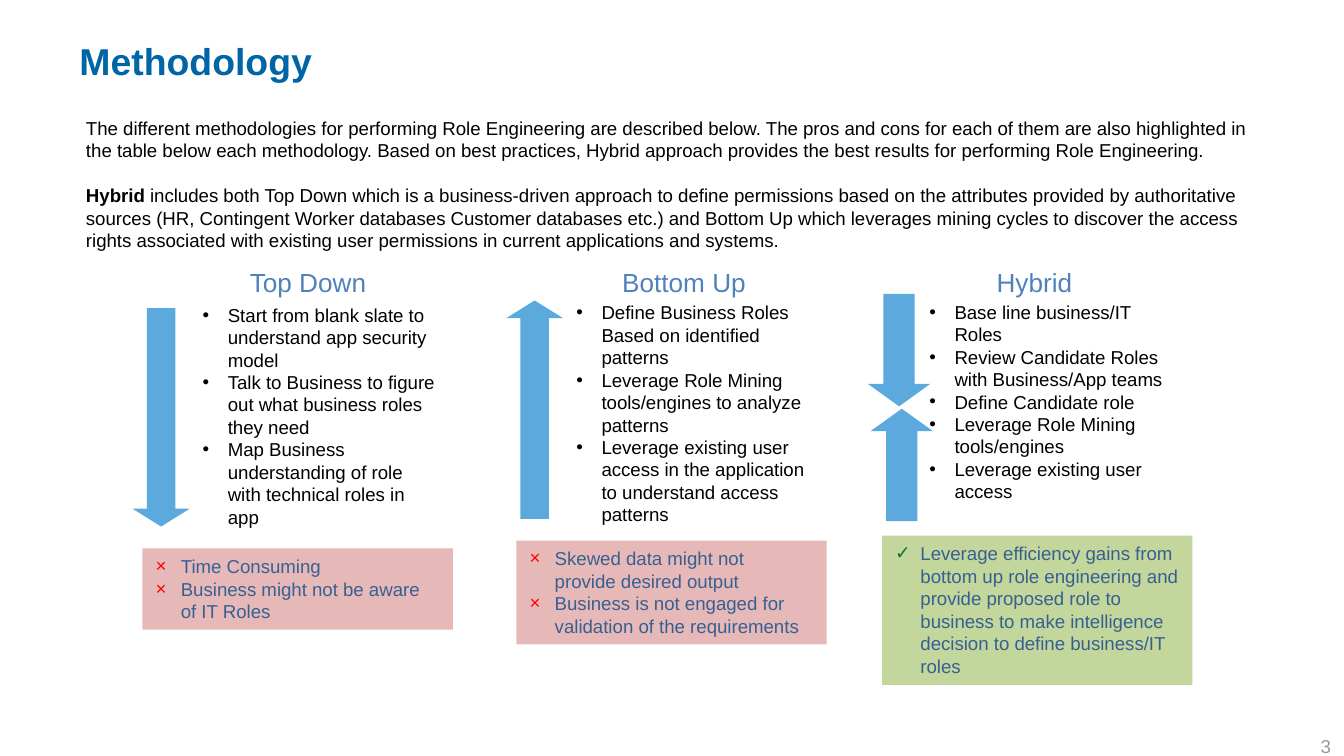
from dataclasses import dataclass

from lxml.etree import SubElement
from pptx import Presentation
from pptx.dml.color import RGBColor
from pptx.enum.shapes import MSO_SHAPE as Preset
from pptx.enum.text import MSO_ANCHOR as Anchor, PP_ALIGN as Align
from pptx.oxml.ns import qn
from pptx.util import Pt

TITLE_BLUE = RGBColor(0x00, 0x65, 0xA6)
HEADING_BLUE = RGBColor(0x4F, 0x81, 0xBD)
VERDICT_BLUE = RGBColor(0x37, 0x60, 0x92)
ARROW_BLUE = RGBColor(0x5C, 0xA9, 0xDD)
PINK = RGBColor(0xE6, 0xB9, 0xB8)
GREEN = RGBColor(0xC3, 0xD6, 0x9B)
RED_MARK = RGBColor(0xFF, 0x00, 0x00)
GREEN_MARK = RGBColor(0x00, 0x7A, 0x3E)
GRAY = RGBColor(0x99, 0x99, 0x99)
BLACK = RGBColor(0x00, 0x00, 0x00)
FONT = "Arial"
HANGING = Pt(13.5)


@dataclass
class Area:
    left: float
    top: float
    width: float
    height: float

    def lengths(self) -> list[int]:
        return [Pt(value) for value in (self.left, self.top, self.width, self.height)]


@dataclass
class Arrow:
    area: Area
    head: float
    up: bool


@dataclass
class Verdict:
    area: Area
    fill: RGBColor
    mark: str
    mark_color: RGBColor
    points: list[str]


@dataclass
class Method:
    name: str
    heading: Area
    steps_area: Area
    steps: list[str]
    arrows: list[Arrow]
    verdict: Verdict


METHODS = [
    Method(
        "Top Down", Area(126.7, 139, 87, 24.2), Area(101.5, 159.1, 141.4, 128),
        ["Start from blank slate to understand app security model",
         "Talk to Business to figure out what business roles they need",
         "Map Business understanding of role with technical roles in app"],
        [Arrow(Area(71.1, 165.1, 30.5, 117), 9.5, False)],
        Verdict(Area(76.3, 293.8, 166.3, 43.6), PINK, "×", RED_MARK,
                ["Time Consuming", "Business might not be aware of IT Roles"]),
    ),
    Method(
        "Bottom Up", Area(326.2, 139, 98, 24.2), Area(301.7, 157.9, 141.4, 128),
        ["Define Business Roles Based on identified patterns",
         "Leverage Role Mining tools/engines to analyze patterns",
         "Leverage existing user access in the application to understand access patterns"],
        [Arrow(Area(271.2, 161, 30.5, 117), 9.5, True)],
        Verdict(Area(276.6, 289.6, 166.3, 55.6), PINK, "×", RED_MARK,
                ["Skewed data might not\vprovide desired output",
                 "Business is not engaged for validation of the requirements"]),
    ),
    Method(
        "Hybrid", Area(526.8, 139, 73, 24.2), Area(490.8, 157.5, 141.4, 116.6),
        ["Base line business/IT Roles",
         "Review Candidate Roles with Business/App teams",
         "Define Candidate role",
         "Leverage Role Mining tools/engines",
         "Leverage existing user access"],
        [Arrow(Area(465, 157.5, 33.4, 60.2), 12, False),
         Arrow(Area(466.4, 219, 33.4, 60.2), 12, True)],
        Verdict(Area(472.5, 287, 166.3, 80), GREEN, "✓", GREEN_MARK,
                ["Leverage efficiency gains from bottom up role engineering and provide "
                 "proposed role to business to make intelligence decision to define "
                 "business/IT roles"]),
    ),
]

INTRO = [
    "The different methodologies for performing Role Engineering are described below. "
    "The pros and cons for each of them are also highlighted in the table below each "
    "methodology. Based on best practices, Hybrid approach provides the best results "
    "for performing Role Engineering.",
    "Hybrid includes both Top Down which is a business-driven approach to define "
    "permissions based on the attributes provided by authoritative sources (HR, "
    "Contingent Worker databases Customer databases etc.) and Bottom Up which leverages "
    "mining cycles to discover the access rights associated with existing user "
    "permissions in current applications and systems.",
]


def add_bullet(para, mark: str, color: RGBColor) -> None:
    properties = para._p.get_or_add_pPr()
    properties.set("marL", str(HANGING))
    properties.set("indent", str(-HANGING))
    bullet_color = SubElement(properties, qn("a:buClr"))
    SubElement(bullet_color, qn("a:srgbClr"), val=str(color))
    SubElement(properties, qn("a:buFont"), typeface=FONT)
    SubElement(properties, qn("a:buChar"), char=mark)


def write(box, paragraphs: list[str], *, size: float = 10, color: RGBColor = BLACK,
          bold: bool = False, bold_lead: str = "", align: Align = Align.LEFT,
          gap: float = 0, mark: str = "", mark_color: RGBColor = BLACK) -> None:
    frame = box.text_frame
    frame.word_wrap = True
    frame.vertical_anchor = Anchor.TOP
    for index, text in enumerate(paragraphs):
        para = frame.add_paragraph() if index else frame.paragraphs[0]
        para.alignment = align
        if index and gap:
            para.space_before = Pt(gap)
        if bold_lead and text.startswith(bold_lead):
            para.add_run().text = bold_lead
            para.add_run().text = text.removeprefix(bold_lead)
        else:
            para.text = text
        for span in para.runs:
            font = span.font
            font.name, font.size = FONT, Pt(size)
            font.bold = bold or span.text == bold_lead
            font.color.rgb = color
        if mark:
            add_bullet(para, mark, mark_color)


def paint(shape, color: RGBColor) -> None:
    shape.shadow.inherit = False
    shape.fill.solid()
    shape.fill.fore_color.rgb = color
    shape.line.fill.background()


def add_text(page, area: Area, paragraphs: list[str], **style) -> None:
    write(page.shapes.add_textbox(*area.lengths()), paragraphs, **style)


def draw_arrow(page, arrow: Arrow) -> None:
    left, top, width, height = arrow.area.lengths()
    tip, tail = (top, top + height) if arrow.up else (top + height, top)
    neck = tip + Pt(arrow.head) * (1 if arrow.up else -1)
    shaft_left, shaft_right = left + width // 4, left + width * 3 // 4
    outline = page.shapes.build_freeform(left, neck)
    outline.add_line_segments([(left + width // 2, tip), (left + width, neck)])
    outline.move_to(shaft_left, tail)
    outline.add_line_segments(
        [(shaft_left, neck), (shaft_right, neck), (shaft_right, tail)])
    paint(outline.convert_to_shape(), ARROW_BLUE)


def draw_verdict(page, verdict: Verdict) -> None:
    box = page.shapes.add_shape(Preset.RECTANGLE, *verdict.area.lengths())
    paint(box, verdict.fill)
    write(box, verdict.points, color=VERDICT_BLUE,
          mark=verdict.mark, mark_color=verdict.mark_color)


def draw_method(page, method: Method) -> None:
    for arrow in method.arrows:
        draw_arrow(page, arrow)
    add_text(page, method.heading, [method.name], size=14, color=HEADING_BLUE)
    add_text(page, method.steps_area, method.steps, mark="•")
    draw_verdict(page, method.verdict)


deck = Presentation()
deck.slide_width, deck.slide_height = Pt(720), Pt(405)
page = deck.slides.add_slide(deck.slide_layouts[6])
add_text(page, Area(35.5, 16.8, 648, 38), ["Methodology"],
         size=20, color=TITLE_BLUE, bold=True)
add_text(page, Area(39, 59, 637, 80), INTRO, bold_lead="Hybrid", gap=12)
for method in METHODS:
    draw_method(page, method)
add_text(page, Area(552, 390, 168, 15), ["3"], color=GRAY, align=Align.RIGHT)
deck.save("out.pptx")
